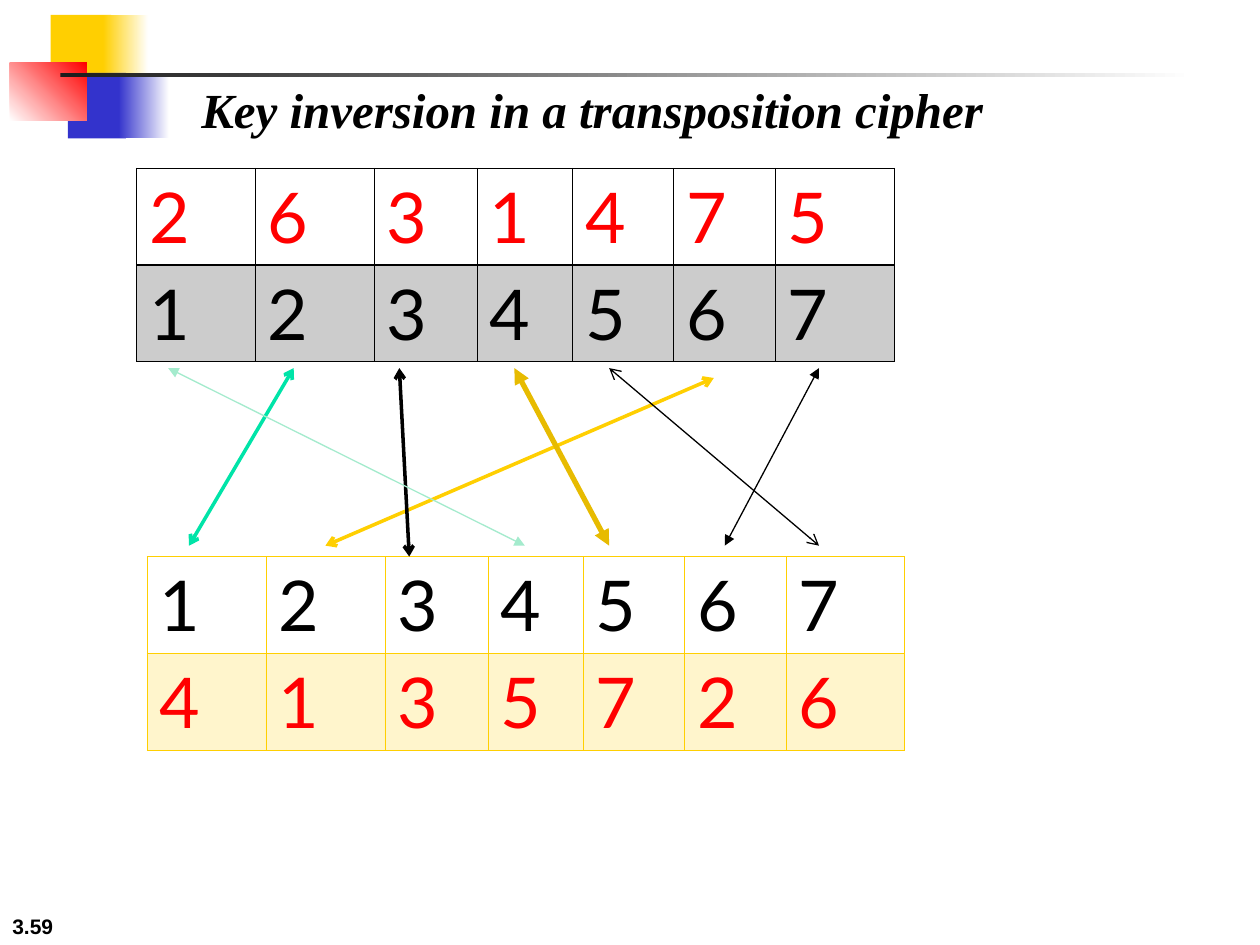
from dataclasses import dataclass
from typing import Any, Optional

from lxml.etree import SubElement
from pptx import Presentation
from pptx.dml.color import RGBColor
from pptx.enum.shapes import MSO_CONNECTOR, MSO_SHAPE
from pptx.enum.text import MSO_ANCHOR
from pptx.oxml.ns import qn
from pptx.util import Cm, Pt


@dataclass(frozen=True)
class Theme:
    black: str = "000000"
    white: str = "FFFFFF"
    red: str = "FF0000"
    gold: str = "FFCF01"
    dark_gold: str = "E7BB01"
    blue: str = "3333CC"
    green: str = "00E4A8"
    mint: str = "A4EBCD"
    charcoal: str = "1C1C1C"
    title_size: int = 28
    key_size: int = 40
    number_size: int = 12
    thin_border: float = 0.45
    middle_border: float = 0.96
    shade_percent: int = 20


THEME = Theme()


@dataclass(frozen=True)
class Label:
    text: str
    left: float
    top: float
    width: float
    height: float
    anchor: MSO_ANCHOR
    font: dict[str, Any]


@dataclass(frozen=True)
class KeyTable:
    left: float
    top: float
    rows: tuple[str, str]
    text_colors: tuple[str, str]
    color: str


@dataclass(frozen=True)
class Arrow:
    start: tuple[float, float]
    end: tuple[float, float]
    color: str
    weight: float
    tip: str


@dataclass(frozen=True)
class Block:
    left: float
    top: float
    width: float
    height: float
    color: str
    fade_to: Optional[str] = None
    angle: int = 0


COLUMN_WIDTHS = (2.39, 2.4, 2.08, 1.92, 2.04, 2.05, 2.39)
ROW_HEIGHT = 1.95
UPPER, LOWER = 7.42, 11.0

LABELS = (
    Label("3.59", 0, 17.78, 5.28, 1.27, MSO_ANCHOR.BOTTOM,
          {"name": "Arial", "size": Pt(THEME.number_size), "bold": True}),
    Label("Key inversion in a transposition cipher", 3.81, 1.47, 19.48, 1.45, MSO_ANCHOR.TOP,
          {"name": "Times New Roman", "size": Pt(THEME.title_size), "bold": True, "italic": True}),
)
KEY_TABLES = (
    KeyTable(2.75, 3.39, ("2631475", "1234567"), (THEME.red, THEME.black), THEME.black),
    KeyTable(2.97, 11.22, ("1234567", "4135726"), (THEME.black, THEME.red), THEME.gold),
)
ARROWS = (
    Arrow((5.92, UPPER), (3.81, LOWER), THEME.green, 2, "arrow"),
    Arrow((14.39, 7.62), (6.56, LOWER), THEME.gold, 2, "arrow"),
    Arrow((8.05, UPPER), (8.25, 11.22), THEME.black, 2, "arrow"),
    Arrow((3.39, UPPER), (10.58, LOWER), THEME.mint, 0.75, "triangle"),
    Arrow((10.37, UPPER), (12.28, LOWER), THEME.dark_gold, 3, "triangle"),
    Arrow((16.51, UPPER), (14.61, LOWER), THEME.black, 0.75, "triangle"),
    Arrow((12.28, UPPER), (16.51, LOWER), THEME.black, 0.75, "arrow"),
)
BLOCKS = (
    Block(1.02, 0.3, 1.22, 1.32, THEME.gold),
    Block(2.08, 0.3, 0.91, 1.32, THEME.gold, THEME.white),
    Block(1.37, 1.47, 1.17, 1.32, THEME.blue),
    Block(2.39, 1.47, 1.02, 1.32, THEME.blue, THEME.white),
    Block(0.2, 1.27, 1.55, 1.17, THEME.white, THEME.red, 45),
)
TITLE_RULE = Block(1.22, 1.47, 22.86, 0.08, THEME.charcoal, THEME.white)


def set_values(target: Any, values: dict[str, Any]) -> None:
    for name, value in values.items():
        setattr(target, name, value)


def write_text(frame: Any, text: str, font: dict[str, Any], color: str) -> None:
    span = frame.paragraphs[0].add_run()
    span.text = text
    set_values(span.font, font)
    span.font.color.rgb = RGBColor.from_string(color)


def draw_label(page: Any, label: Label) -> None:
    box = page.shapes.add_textbox(Cm(label.left), Cm(label.top), Cm(label.width), Cm(label.height))
    set_values(box.text_frame, {"word_wrap": True, "vertical_anchor": label.anchor})
    write_text(box.text_frame, label.text, label.font, THEME.black)


def draw_borders(cell: Any, color: str, middle_side: str) -> None:
    properties = cell._tc.get_or_add_tcPr()
    for side in ("lnL", "lnR", "lnT", "lnB"):
        weight = THEME.middle_border if side == middle_side else THEME.thin_border
        line = SubElement(properties, qn(f"a:{side}"), w=str(Pt(weight)))
        fill = SubElement(line, qn("a:solidFill"))
        SubElement(fill, qn("a:srgbClr"), val=color)


def shade_cell(cell: Any, color: str) -> None:
    cell.fill.solid()
    cell.fill.fore_color.rgb = RGBColor.from_string(color)
    shade = cell._tc.tcPr.find(f"{qn('a:solidFill')}/{qn('a:srgbClr')}")
    SubElement(shade, qn("a:alpha"), val=str(THEME.shade_percent * 1000))


def draw_key_table(page: Any, key: KeyTable) -> None:
    frame = page.shapes.add_table(len(key.rows), len(COLUMN_WIDTHS), Cm(key.left), Cm(key.top),
                                  Cm(sum(COLUMN_WIDTHS)), Cm(ROW_HEIGHT * len(key.rows)))
    table = frame.table
    set_values(table, {"first_row": False, "horz_banding": False})
    for column, width in zip(table.columns, COLUMN_WIDTHS):
        column.width = Cm(width)
    font = {"name": "Lato", "size": Pt(THEME.key_size)}
    for row, (digits, text_color) in enumerate(zip(key.rows, key.text_colors)):
        table.rows[row].height = Cm(ROW_HEIGHT)
        for column, digit in enumerate(digits):
            cell = table.cell(row, column)
            write_text(cell.text_frame, digit, font, text_color)
            draw_borders(cell, key.color, "lnT" if row else "lnB")
            if row:
                shade_cell(cell, key.color)
            else:
                cell.fill.background()


def draw_arrow(page: Any, arrow: Arrow) -> None:
    ends = [Cm(value) for value in (*arrow.start, *arrow.end)]
    connector = page.shapes.add_connector(MSO_CONNECTOR.STRAIGHT, *ends)
    connector.line.width = Pt(arrow.weight)
    connector.line.color.rgb = RGBColor.from_string(arrow.color)
    outline = connector.line._get_or_add_ln()
    for end in ("headEnd", "tailEnd"):
        SubElement(outline, qn(f"a:{end}"), type=arrow.tip)
    SubElement(connector._element.spPr, qn("a:effectLst"))


def draw_block(page: Any, block: Block) -> None:
    shape = page.shapes.add_shape(MSO_SHAPE.RECTANGLE, Cm(block.left), Cm(block.top),
                                  Cm(block.width), Cm(block.height))
    shape.shadow.inherit = False
    shape.line.fill.background()
    if block.fade_to is None:
        shape.fill.solid()
        shape.fill.fore_color.rgb = RGBColor.from_string(block.color)
        return
    shape.fill.gradient()
    shape.fill.gradient_angle = block.angle
    for stop, color in zip(shape.fill.gradient_stops, (block.color, block.fade_to)):
        stop.color.rgb = RGBColor.from_string(color)


def main() -> None:
    deck = Presentation()
    set_values(deck, {"slide_width": Cm(25.4), "slide_height": Cm(19.05)})
    page = deck.slides.add_slide(deck.slide_layouts[6])
    number, title = LABELS
    draw_label(page, number)
    for key in KEY_TABLES:
        draw_key_table(page, key)
    for arrow in ARROWS:
        draw_arrow(page, arrow)
    for block in BLOCKS:
        draw_block(page, block)
    draw_label(page, title)
    draw_block(page, TITLE_RULE)
    deck.save("out.pptx")


if __name__ == "__main__":
    main()
